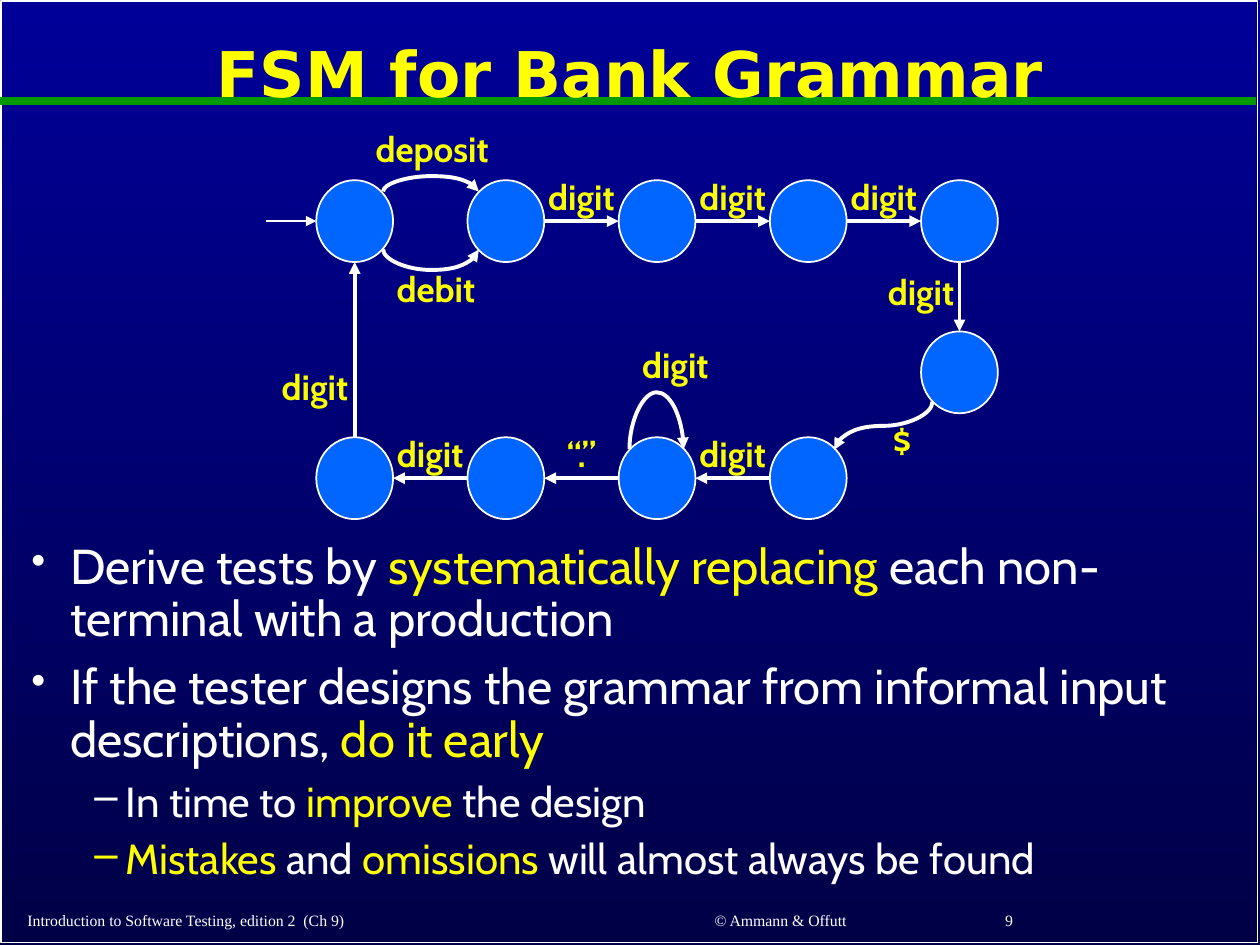
from lxml import etree
from pptx import Presentation
from pptx.dml.color import RGBColor
from pptx.enum.shapes import MSO_CONNECTOR, MSO_SHAPE
from pptx.enum.text import MSO_ANCHOR, PP_ALIGN
from pptx.oxml.ns import qn
from pptx.util import Emu, Inches, Pt

STRAIGHT, CURVE = MSO_CONNECTOR.STRAIGHT, MSO_CONNECTOR.CURVE
RECT, OVAL = MSO_SHAPE.RECTANGLE, MSO_SHAPE.OVAL
TOP, MIDDLE, BOTTOM = MSO_ANCHOR.TOP, MSO_ANCHOR.MIDDLE, MSO_ANCHOR.BOTTOM
LEFT, CENTER = PP_ALIGN.LEFT, PP_ALIGN.CENTER

WHITE = RGBColor(0xFF, 0xFF, 0xFF)
YELLOW = RGBColor(0xFF, 0xFF, 0x00)
LABEL_YELLOW = RGBColor(0xFA, 0xFD, 0x00)
GREEN = RGBColor(0x00, 0x99, 0x00)
BLUE = RGBColor(0x00, 0x66, 0xFF)
NAVY_TOP = RGBColor(0x00, 0x00, 0x99)
NAVY_BOTTOM = RGBColor(0x00, 0x00, 0x47)

TITLE = "FSM for Bank Grammar"
BULLETS = [
    (0, [("Derive tests by ", WHITE), ("systematically replacing", YELLOW),
         (" each non-terminal with a production", WHITE)]),
    (0, [("If the tester designs the grammar from informal input descriptions, ", WHITE),
         ("do it early", YELLOW)]),
    (1, [("In time to ", WHITE), ("improve", YELLOW), (" the design", WHITE)]),
    (1, [("Mistakes", YELLOW), (" and ", WHITE), ("omissions", YELLOW),
         (" will almost always be found", WHITE)]),
]
LEVELS = [
    {"size": 28, "margin": 0.31, "indent": -0.31, "bullet": "•", "bullet_size": 85},
    {"size": 24, "margin": 0.75, "indent": -0.25, "bullet": "–", "bullet_size": 100},
]
FOOTERS = [
    ("Introduction to Software Testing, edition 2  (Ch 9)", 0.12, 4.27, LEFT),
    ("© Ammann & Offutt", 4.61, 3.17, CENTER),
    ("9", 7.88, 1.97, LEFT),
]

GRID_LEFT, PITCH = 2.51, 1.2
ROW_TOPS = [1.43, 2.63, 3.47]
NODE_W, NODE_H = 0.61, 0.65
STATES = [(c, 0) for c in range(5)] + [(4, 1)] + [(c, 2) for c in range(4)]
ROW_EDGES = [
    ((1, 0), (2, 0), "digit"), ((2, 0), (3, 0), "digit"), ((3, 0), (4, 0), "digit"),
    ((3, 2), (2, 2), "digit"), ((2, 2), (1, 2), "“.”"), ((1, 2), (0, 2), "digit"),
]
COLUMN_EDGES = [((4, 0), (4, 1)), ((0, 2), (0, 0))]
FREE_LABELS = [
    ("deposit", 3.43, 0.96), ("debit", 3.46, 2.07), ("digit", 7.31, 2.1),
    ("digit", 2.5, 2.85), ("digit", 5.36, 2.68), ("$", 7.16, 3.28),
]
THIN = 1588 / 914400
CURVES = [
    {"box": (5.21, 3.35, THIN, 0.43), "rot": 90, "flip": "flipV", "adj": -286},
    {"box": (3.42, 1.14, THIN, 0.76), "rot": 90, "flip": "flipV", "adj": -77},
    {"box": (3.42, 1.6, THIN, 0.76), "rot": 270, "flip": "flipH", "adj": 104},
    {"box": (6.82, 2.99, 0.38, 0.78), "rot": 90, "flip": None, "adj": 0.5},
]


def add_text(slide, box, paragraphs, font, size, bold=False, align=LEFT, anchor=TOP):
    sp = slide.shapes.add_textbox(*map(Inches, box))
    tf = sp.text_frame
    tf.word_wrap = True
    tf.vertical_anchor = anchor
    for i, runs in enumerate(paragraphs):
        p = tf.add_paragraph() if i else tf.paragraphs[0]
        p.alignment = align
        for text, color in runs:
            r = p.add_run()
            r.text = text
            r.font.name, r.font.size, r.font.bold = font, Pt(size), bold
            r.font.color.rgb = color
    return tf


def add_label(slide, text, center, top):
    add_text(slide, (center - 0.6, top, 1.2, 0.43), [[(text, LABEL_YELLOW)]],
             "Cabin", 20, True, CENTER)


def add_line(slide, start, end, color=WHITE, width=2.25, arrow=True, kind=STRAIGHT):
    cxn = slide.shapes.add_connector(kind, *map(Inches, (*start, *end)))
    cxn.line.color.rgb = color
    cxn.line.width = Pt(width)
    if arrow:
        etree.SubElement(cxn.line._get_or_add_ln(), qn("a:tailEnd"), type="triangle")
    etree.SubElement(cxn._element.spPr, qn("a:effectLst"))
    return cxn


def add_curve(slide, box, rot, flip, adj):
    x, y, w, h = box
    cxn = add_line(slide, (x, y), (x + w, y + h), kind=CURVE)
    cxn.width = Emu(round(w * 914400))
    xfrm = cxn._element.spPr.find(qn("a:xfrm"))
    xfrm.set("rot", str(rot * 60000))
    if flip:
        xfrm.set(flip, "1")
    guides = cxn._element.spPr.find(qn("a:prstGeom")).get_or_add_avLst()
    etree.SubElement(guides, qn("a:gd"), name="adj1", fmla=f"val {round(adj * 100000)}")


def add_shape(slide, kind, box, fill=None):
    sp = slide.shapes.add_shape(kind, *map(Inches, box))
    sp.shadow.inherit = False
    if fill is None:
        sp.fill.background()
    else:
        sp.fill.solid()
        sp.fill.fore_color.rgb = fill
    sp.line.color.rgb = WHITE
    sp.line.width = Pt(1)


def node_at(state):
    col, row = state
    return GRID_LEFT + PITCH * col, ROW_TOPS[row]


def add_machine(slide):
    for state in STATES:
        add_shape(slide, OVAL, (*node_at(state), NODE_W, NODE_H), BLUE)
    for source, target, label in ROW_EDGES:
        (x1, y), (x2, _) = node_at(source), node_at(target)
        mid = y + NODE_H / 2
        start, end = (x1 + NODE_W, x2) if x1 < x2 else (x1, x2 + NODE_W)
        add_line(slide, (start, mid), (end, mid))
        add_label(slide, label, (start + end) / 2, y - 0.09)
    for source, target in COLUMN_EDGES:
        (x, y1), (_, y2) = node_at(source), node_at(target)
        mid = x + NODE_W / 2
        start, end = (y1 + NODE_H, y2) if y1 < y2 else (y1, y2 + NODE_H)
        add_line(slide, (mid, start), (mid, end))
    entry_y = ROW_TOPS[0] + NODE_H / 2
    add_line(slide, (GRID_LEFT - 0.4, entry_y), (GRID_LEFT, entry_y), width=1.5)
    for curve in CURVES:
        add_curve(slide, **curve)
    for label in FREE_LABELS:
        add_label(slide, *label)


def add_bullets(slide):
    tf = add_text(slide, (0.15, 4.25, 9.7, 2.79), [runs for _, runs in BULLETS], "Cabin", 28)
    for p, (level, _) in zip(tf.paragraphs, BULLETS):
        style = LEVELS[level]
        p.level = level
        p.line_spacing = 0.9
        p.space_before = Pt(style["size"] * 0.3)
        for r in p.runs:
            r.font.size = Pt(style["size"])
        pPr = p._p.get_or_add_pPr()
        pPr.set("marL", str(Inches(style["margin"])))
        pPr.set("indent", str(Inches(style["indent"])))
        etree.SubElement(pPr, qn("a:buSzPct"), val=str(style["bullet_size"] * 1000))
        etree.SubElement(pPr, qn("a:buChar"), char=style["bullet"])


def main():
    prs = Presentation()
    prs.slide_width, prs.slide_height = Inches(10), Inches(7.5)
    slide = prs.slides.add_slide(prs.slide_layouts[6])
    fill = slide.background.fill
    fill.gradient()
    fill.gradient_angle = 270
    for stop, color, position in zip(fill.gradient_stops, (NAVY_TOP, NAVY_BOTTOM), (0, 1)):
        stop.color.rgb = color
        stop.position = position

    add_shape(slide, RECT, (0.01, 0.01, 9.97, 7.47))
    add_line(slide, (0, 0.8), (9.97, 0.8), GREEN, 4.5, arrow=False)
    title = add_text(slide, (0.1, 0.11, 9.8, 1), [[(TITLE, YELLOW)]],
                     "DejaVu Sans", 36, True, CENTER, MIDDLE)
    title.paragraphs[0].line_spacing = 0.9
    add_machine(slide)
    add_bullets(slide)
    for text, left, width, align in FOOTERS:
        add_text(slide, (left, 7.14, width, 0.29), [[(text, WHITE)]],
                 "Times New Roman", 9, align=align, anchor=BOTTOM)
    prs.save("out.pptx")


if __name__ == "__main__":
    main()
